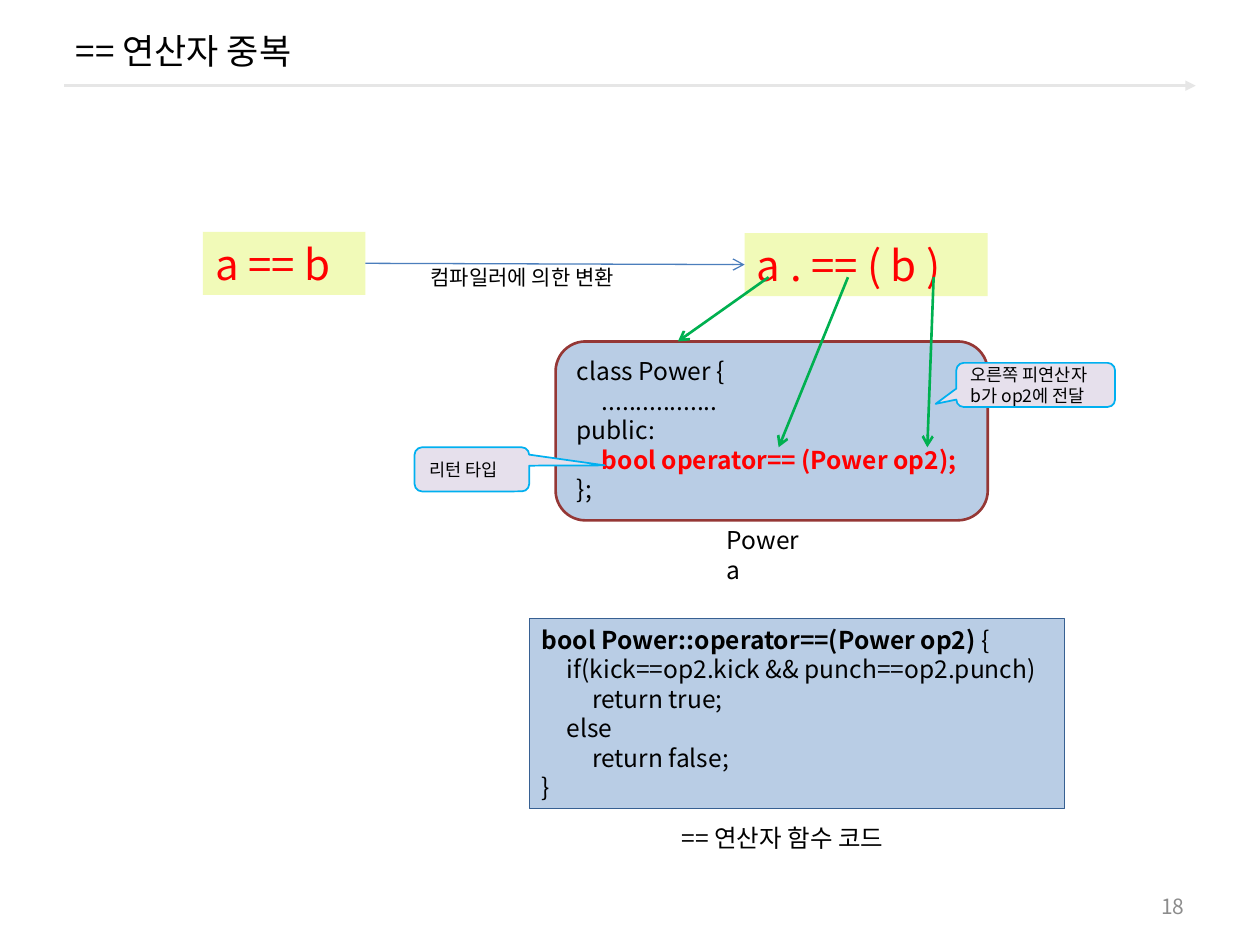
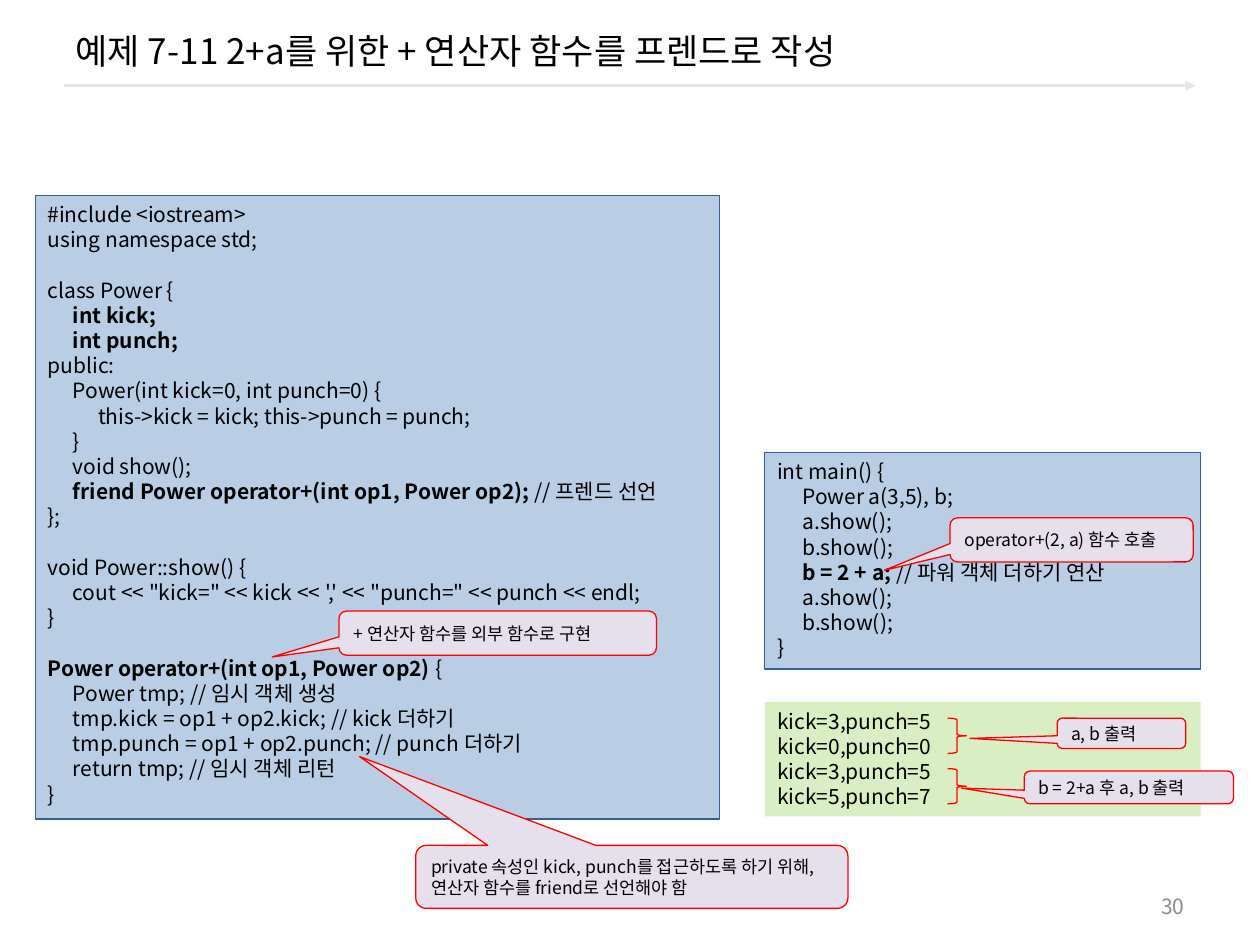
"""Builds two slides on C++ operator overloading."""
from lxml import etree
from pptx import Presentation
from pptx.dml.color import RGBColor
from pptx.enum.shapes import MSO_CONNECTOR, MSO_SHAPE
from pptx.enum.text import MSO_ANCHOR, PP_ALIGN
from pptx.oxml.ns import qn
from pptx.util import Inches, Pt

FONT = "Noto Sans CJK KR"
BLACK, RED, GREEN, CYAN = "000000", "FF0000", "00B050", "00B0F0"
HEADER_GRAY, NUMBER_GRAY, ARROW_BLUE = "E6E6E6", "8C8C8C", "4B7EBC"
CODE_FILL, CODE_LINE, CLASS_LINE = "B9CDE5", "376092", "953735"
EXPRESSION_FILL, OUTPUT_FILL, CALLOUT_FILL = "F1FAB8", "DAEEC4", "E6E0EC"
RECTANGLE, ROUNDED = MSO_SHAPE.RECTANGLE, MSO_SHAPE.ROUNDED_RECTANGLE
CALLOUT, BRACE = MSO_SHAPE.ROUNDED_RECTANGULAR_CALLOUT, MSO_SHAPE.RIGHT_BRACE
TOP, MIDDLE = MSO_ANCHOR.TOP, MSO_ANCHOR.MIDDLE
LEFT, RIGHT = PP_ALIGN.LEFT, PP_ALIGN.RIGHT
STRAIGHT = MSO_CONNECTOR.STRAIGHT
LINE_HEIGHT = 1.2
TAB_WIDTH = 0.2


def write(shape, text, size=12, color=BLACK, strong=None, anchor=TOP, align=LEFT):
    """Write lines of text; parts between asterisks are bold, in the strong colour."""
    frame = shape.text_frame
    frame.word_wrap = True
    frame.vertical_anchor = anchor
    paragraph, gap = frame.paragraphs[0], 0
    for number, line in enumerate(text.split("\n")):
        if not line:
            gap = size * LINE_HEIGHT
            continue
        if number:
            paragraph = frame.add_paragraph()
        paragraph.alignment = align
        paragraph.line_spacing = Pt(size * LINE_HEIGHT)
        paragraph.space_before, gap = Pt(gap), 0
        if "\t" in line:
            tabs = etree.SubElement(paragraph._p.get_or_add_pPr(), qn("a:tabLst"))
            for stop in (1, 2):
                position = str(Inches(stop * TAB_WIDTH))
                etree.SubElement(tabs, qn("a:tab"), pos=position, algn="l")
        for index, part in enumerate(line.split("*")):
            if not part:
                continue
            run = paragraph.add_run()
            run.text = part
            font = run.font
            font.name, font.size, font.bold = FONT, Pt(size), index % 2 == 1
            font.color.rgb = RGBColor.from_string(strong if strong and font.bold else color)
            etree.SubElement(font._element, qn("a:ea"), typeface=FONT)


def draw(slide, kind, place, fill=None, line=None, width=0.75):
    """Add a preset shape with its fill and outline."""
    shape = slide.shapes.add_shape(kind, *map(Inches, place))
    shape.shadow.inherit = False
    for target, color in ((shape.fill, fill), (shape.line.fill, line)):
        if color:
            target.solid()
            target.fore_color.rgb = RGBColor.from_string(color)
        else:
            target.background()
    if line:
        shape.line.width = Pt(width)
    return shape


presentation = Presentation()
presentation.slide_width, presentation.slide_height = Inches(10), Inches(7.5)

slides = []
for title, number in (
    ("== 연산자 중복", "18"),
    ("예제 7-11 2+a를 위한 + 연산자 함수를 프렌드로 작성", "30"),
):
    slide = presentation.slides.add_slide(presentation.slide_layouts[5])
    heading = slide.shapes.title
    heading.left, heading.top = Inches(0.5), Inches(0.08)
    heading.width, heading.height = Inches(9), Inches(0.64)
    write(heading, title, size=20, anchor=MIDDLE)
    page = slide.shapes.add_textbox(Inches(7.17), Inches(7.03), Inches(2.33), Inches(0.32))
    write(page, number, color=NUMBER_GRAY, anchor=MIDDLE, align=RIGHT)
    slides.append(slide)
equality, friend = slides

class_box = draw(equality, ROUNDED, (4.41, 2.71, 3.43, 1.42), CODE_FILL, CLASS_LINE, 1.5)
write(class_box, """class Power {
\t.................
public:
\t*bool operator== (Power op2);*
};""", size=14, strong=RED)

function_box = draw(equality, RECTANGLE, (4.2, 4.91, 4.25, 1.51), CODE_FILL, CODE_LINE)
write(function_box, """*bool Power::operator==(Power op2) *{
\tif(kick==op2.kick && punch==op2.punch)
\t\treturn true;
\telse
\t\treturn false;
}""", size=14)

expression = draw(equality, RECTANGLE, (1.61, 1.84, 1.29, 0.5), EXPRESSION_FILL)
write(expression, "a == b", size=24, color=RED)
converted = draw(equality, RECTANGLE, (5.91, 1.85, 1.93, 0.5), EXPRESSION_FILL)
write(converted, "a . == ( b )", size=24, color=RED)

for place, text, size in (
    ((3.32, 2.05, 2.06, 0.3), "컴파일러에 의한 변환", 12),
    ((5.67, 4.12, 0.85, 0.57), "Power a", 14),
    ((5.31, 6.48, 2.05, 0.34), "== 연산자 함수 코드", 14),
):
    write(equality.shapes.add_textbox(*map(Inches, place)), text, size=size)

program_box = draw(friend, RECTANGLE, (0.28, 1.55, 5.43, 4.95), CODE_FILL, CODE_LINE)
write(program_box, """#include <iostream>
using namespace std;

class Power {
\t*int kick;*
\t*int punch;*
public:
\tPower(int kick=0, int punch=0) {
\t\tthis->kick = kick; this->punch = punch;
\t}
\tvoid show();
\t*friend Power operator+(int op1, Power op2); *// 프렌드 선언
};

void Power::show() {
\tcout << "kick=" << kick << ',' << "punch=" << punch << endl;
}

*Power operator+(int op1, Power op2) *{
\tPower tmp; // 임시 객체 생성
\ttmp.kick = op1 + op2.kick; // kick 더하기
\ttmp.punch = op1 + op2.punch; // punch 더하기
\treturn tmp; // 임시 객체 리턴
}""")

output_box = draw(friend, RECTANGLE, (6.07, 5.57, 3.46, 0.91), OUTPUT_FILL)
write(output_box, """kick=3,punch=5
kick=0,punch=0
kick=3,punch=5
kick=5,punch=7""")

main_box = draw(friend, RECTANGLE, (6.07, 3.59, 3.46, 1.72), CODE_FILL, CODE_LINE)
write(main_box, """int main() {
\tPower a(3,5), b;
\ta.show();
\tb.show();
\t*b = 2 + a; *// 파워 객체 더하기 연산
\ta.show();
\tb.show();
}""")

for slide, start, end, color, width, head in (
    (equality, (0.51, 0.68), (9.49, 0.68), HEADER_GRAY, 1.5, "triangle"),
    (friend, (0.51, 0.68), (9.49, 0.68), HEADER_GRAY, 1.5, "triangle"),
    (equality, (7.41, 2.2), (7.36, 3.55), GREEN, 1.5, "arrow"),
    (equality, (6.73, 2.2), (6.18, 3.55), GREEN, 1.5, "arrow"),
    (equality, (6.1, 2.2), (5.38, 2.71), GREEN, 1.5, "arrow"),
    (equality, (2.9, 2.09), (5.91, 2.1), ARROW_BLUE, 0.75, "arrow"),
):
    arrow = slide.shapes.add_connector(STRAIGHT, *map(Inches, start + end))
    arrow.line.color.rgb = RGBColor.from_string(color)
    arrow.line.width = Pt(width)
    etree.SubElement(arrow.line._get_or_add_ln(), qn("a:tailEnd"), type=head)
    etree.SubElement(arrow._element.spPr, qn("a:effectLst"))
    if color == ARROW_BLUE:
        arrow.begin_connect(expression, 3)
        arrow.end_connect(converted, 1)

for top in (5.7, 6.1):
    draw(friend, BRACE, (7.52, top, 0.15, 0.28), line=RED)

for slide, place, pointer, color, width, text in (
    (equality, (3.29, 3.55, 0.91, 0.35), (1.16, -0.09), CYAN, 1, "리턴 타입"),
    (equality, (7.59, 2.88, 1.26, 0.35), (-0.63, 0.43), CYAN, 1,
     "오른쪽 피연산자\nb가 op2에 전달"),
    (friend, (2.69, 4.85, 2.52, 0.35), (-0.71, 0.54), RED, 0.75,
     "+ 연산자 함수를 외부 함수로 구현"),
    (friend, (3.3, 6.71, 3.43, 0.5), (-0.63, -1.91), RED, 0.75,
     "private 속성인 kick, punch를 접근하도록 하기 위해, 연산자 함수를 friend로 선언해야 함"),
    (friend, (8.39, 5.7, 1.02, 0.24), (-1.18, 0.17), RED, 0.75, "a, b 출력"),
    (friend, (8.13, 6.12, 1.66, 0.26), (-0.8, 0.02), RED, 0.75, "b = 2+a 후 a, b 출력"),
    (friend, (7.54, 4.11, 1.93, 0.35), (-0.77, 0.69), RED, 0.75, "operator+(2, a) 함수 호출"),
):
    callout = draw(slide, CALLOUT, place, CALLOUT_FILL, color, width)
    callout.adjustments[0], callout.adjustments[1] = pointer
    write(callout, text, size=10, anchor=MIDDLE)

presentation.save("out.pptx")
